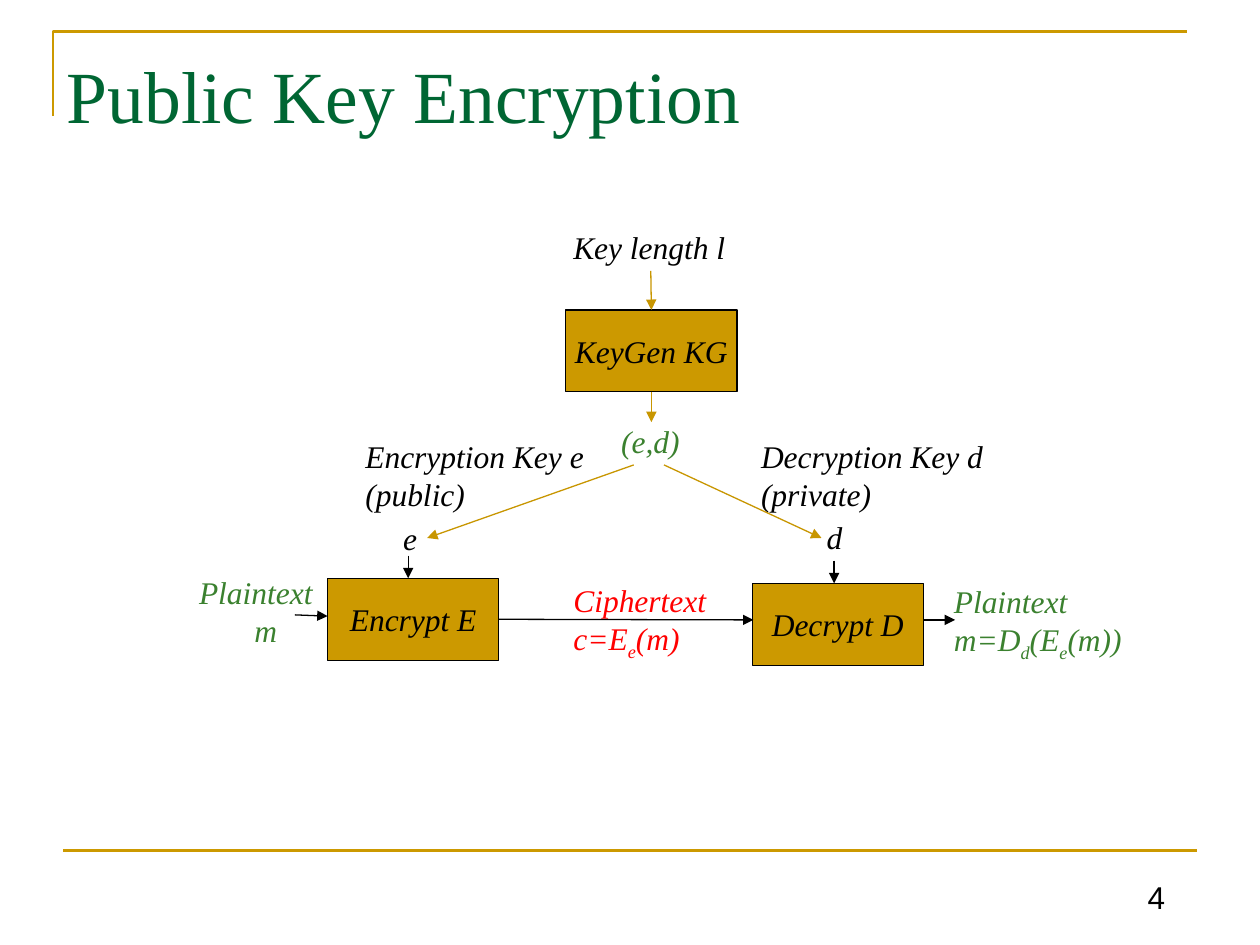
import dataclasses

import lxml.etree
import pptx
import pptx.dml.color
import pptx.enum.shapes
import pptx.enum.text
import pptx.oxml.ns
import pptx.util

COLUMNS, ROWS = 100, 75
CELL = pptx.util.Inches(0.1)
SERIF = "Times New Roman"
BLACK, GOLD, AMBER = "000000", "CC9900", "C89600"
GREEN, RED, TITLE_GREEN = "3B812F", "FF0000", "006633"
ANCHOR = pptx.enum.text.MSO_ANCHOR
ALIGN = pptx.enum.text.PP_ALIGN


@dataclasses.dataclass
class Box:
    left: float
    top: float
    width: float
    height: float

    def point(self, column, row):
        return round((self.left + column) * CELL), round((self.top + row) * CELL)

    def area(self, column, row, width, height):
        return (*self.point(column, row), round(width * CELL), round(height * CELL))

    def whole(self):
        return self.area(0, 0, self.width, self.height)


def color(value):
    return pptx.dml.color.RGBColor.from_string(value)


def add_run(paragraph, text, size, font_color, name=SERIF, italic=False, subscript=False):
    run = paragraph.add_run()
    run.text = text
    run.font.size = pptx.util.Pt(size)
    run.font.name = name
    run.font.italic = italic
    run.font.color.rgb = color(font_color)
    if subscript:
        run.font._element.set("baseline", "-25000")


def set_insets(frame, horizontal, vertical):
    frame.margin_left = frame.margin_right = pptx.util.Inches(horizontal)
    frame.margin_top = frame.margin_bottom = pptx.util.Inches(vertical)


def style_line(shape, line_color, width):
    shape.line.color.rgb = color(line_color)
    shape.line.width = pptx.util.Pt(width)


def add_line(slide, start, end, line_color, width):
    line = slide.shapes.add_connector(
        pptx.enum.shapes.MSO_CONNECTOR.STRAIGHT, *start, *end)
    style_line(line, line_color, width)
    lxml.etree.SubElement(line._element.spPr, pptx.oxml.ns.qn("a:effectLst"))
    return line


def add_arrow(slide, start, end, line_color):
    arrow = add_line(slide, start, end, line_color, 0.75)
    lxml.etree.SubElement(
        arrow.line._get_or_add_ln(), pptx.oxml.ns.qn("a:tailEnd"), type="triangle")
    return arrow


def add_process(slide, area, text):
    shape = slide.shapes.add_shape(pptx.enum.shapes.MSO_SHAPE.RECTANGLE, *area)
    shape.shadow.inherit = False
    shape.fill.solid()
    shape.fill.fore_color.rgb = color(GOLD)
    style_line(shape, BLACK, 0.75)
    frame = shape.text_frame
    frame.word_wrap = False
    frame.vertical_anchor = ANCHOR.MIDDLE
    set_insets(frame, 0.07, 0.04)
    frame.paragraphs[0].alignment = ALIGN.CENTER
    add_run(frame.paragraphs[0], text, 18, BLACK, italic=True)
    return shape


def add_label(slide, area, lines, font_color=BLACK, last_indent=0):
    label = slide.shapes.add_textbox(*area)
    frame = label.text_frame
    frame.word_wrap = False
    frame.auto_size = pptx.enum.text.MSO_AUTO_SIZE.SHAPE_TO_FIT_TEXT
    set_insets(frame, 0.07, 0.04)
    for index, pieces in enumerate(lines):
        paragraph = frame.add_paragraph() if index else frame.paragraphs[0]
        for position, piece in enumerate(pieces):
            add_run(paragraph, piece, 18, font_color, italic=True,
                    subscript=position % 2 == 1)
    if last_indent:
        paragraph._p.get_or_add_pPr().set("marL", str(pptx.util.Inches(last_indent)))
    return label


def build_title(slide, box):
    builder = slide.shapes.build_freeform(*box.point(0, box.height), scale=1.0)
    builder.add_line_segments(
        [box.point(0, 0), box.point(box.width, 0)], close=False)
    corner = builder.convert_to_shape()
    corner.shadow.inherit = False
    corner.fill.background()
    style_line(corner, GOLD, 1.5)

    title = slide.shapes.title
    title.left, title.top, title.width, title.height = box.area(0.1, 0.5, 90.7, 8.5)
    frame = title.text_frame
    frame.word_wrap = True
    frame.vertical_anchor = ANCHOR.BOTTOM
    set_insets(frame, 0.1, 0.05)
    frame.paragraphs[0].alignment = ALIGN.LEFT
    add_run(frame.paragraphs[0], "Public Key Encryption", 42, TITLE_GREEN)


def build_key_generation(slide, box):
    length = add_label(slide, box.area(16.5, 0, 13.7, 3.8), [["Key length l"]])
    keygen = add_process(slide, box.area(16.6, 6.9, 13.6, 6.5), "KeyGen KG")
    add_label(slide, box.area(20.3, 15.4, 6.2, 3.8), [["(e,d)"]], GREEN)
    add_label(slide, box.area(0, 16.6, 19, 6.8), [["Encryption Key e"], ["(public)"]])
    add_label(slide, box.area(31.4, 16.6, 19.3, 6.8),
              [["Decryption Key d"], ["(private)"]])
    add_label(slide, box.area(3, 23.1, 2.6, 3.8), [["e"]])
    add_label(slide, box.area(36.6, 23, 2.8, 3.8), [["d"]])

    center = 23.4
    entry = add_arrow(slide, box.point(center, 3.8), box.point(center, 6.9), AMBER)
    entry.begin_connect(length, 2)
    entry.end_connect(keygen, 0)
    pair = add_arrow(slide, box.point(center, 13.4), box.point(center, 15.8), AMBER)
    pair.begin_connect(keygen, 2)
    for start, end in ((22, 5.6), (24.4, 36.9)):
        add_arrow(slide, box.point(start, 19.2), box.point(end, 25), AMBER)


def build_message_flow(slide, box):
    encrypt = add_process(slide, box.area(10.9, 1.8, 13.6, 6.5), "Encrypt E")
    add_process(slide, box.area(44.6, 2.2, 13.6, 6.5), "Decrypt D")
    add_label(slide, box.area(0, 1, 10.6, 6.8), [["Plaintext"], ["m"]], GREEN, 0.44)
    add_label(slide, box.area(29.7, 1.6, 12.1, 6.8),
              [["Ciphertext"], ["c=E", "e", "(m)"]], RED)
    add_label(slide, box.area(59.9, 1.7, 15.2, 6.8),
              [["Plaintext"], ["m=D", "d", "(E", "e", "(m))"]], GREEN)

    arrows = (
        ((8.3, 4.7), (10.9, 4.8)),
        ((58.2, 5.1), (60.7, 5.1)),
        ((17.3, 0), (17.3, 1.8)),
        ((51.1, 0.4), (51.1, 2.2)),
    )
    for start, end in arrows:
        add_arrow(slide, box.point(*start), box.point(*end), BLACK)
    ciphertext = add_arrow(slide, box.point(24.5, 5), box.point(44.7, 5.1), BLACK)
    ciphertext.begin_connect(encrypt, 3)


def build_footer(slide, box):
    add_line(slide, box.point(0, 0), box.point(box.width, 0), GOLD, 1.5)
    number = slide.shapes.add_textbox(*box.area(85.1, 0.8, 4.8, 4.9))
    frame = number.text_frame
    frame.word_wrap = True
    frame.vertical_anchor = ANCHOR.BOTTOM
    set_insets(frame, 0.1, 0.05)
    add_run(frame.paragraphs[0], "4", 18, BLACK, name="Arial")


def main():
    presentation = pptx.Presentation()
    presentation.slide_width = COLUMNS * CELL
    presentation.slide_height = ROWS * CELL
    slide = presentation.slides.add_slide(presentation.slide_layouts[5])
    build_title(slide, Box(4.2, 2.5, 90, 6.7))
    build_key_generation(slide, Box(28.3, 17.7, 50.7, 26.9))
    build_message_flow(slide, Box(15.1, 44.1, 75.1, 8.7))
    build_footer(slide, Box(5, 67.5, 90, 5.7))
    presentation.save("out.pptx")


if __name__ == "__main__":
    main()
